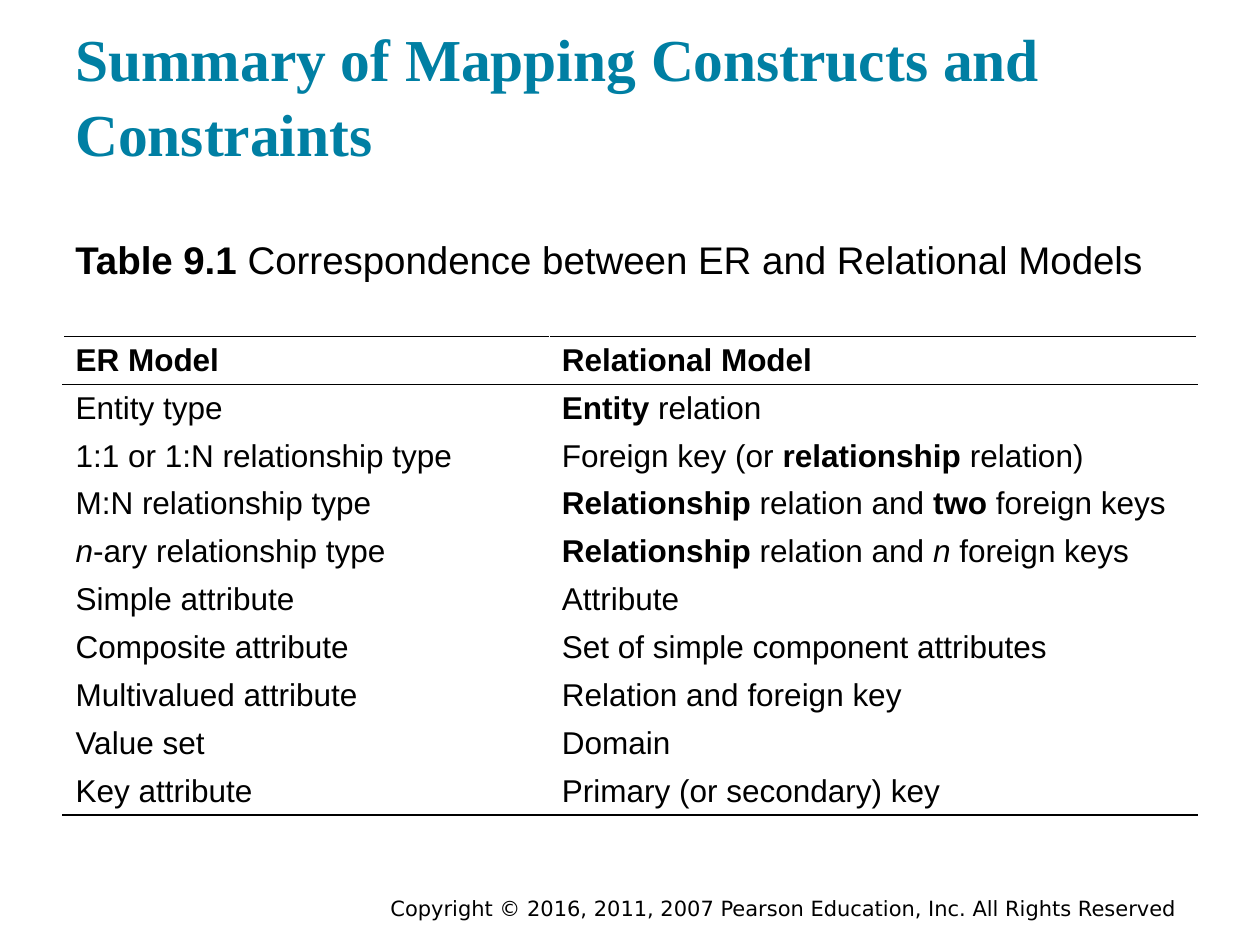
from lxml import etree
from pptx import Presentation
from pptx.dml.color import RGBColor
from pptx.enum.text import MSO_ANCHOR
from pptx.oxml.ns import qn
from pptx.util import Inches, Pt

TOP, MIDDLE, BOTTOM = MSO_ANCHOR.TOP, MSO_ANCHOR.MIDDLE, MSO_ANCHOR.BOTTOM
BLACK, TEAL = "000000", "007FA3"
ROW_HEIGHT = 0.38
COLUMN_WIDTHS = (3.86, 5.14)

# Spans are parted by "|"; a leading "*" makes one bold, "/" italic
ROWS = [
    ("*ER Model", "*Relational Model"),
    ("Entity type", "*Entity| relation"),
    ("1:1 or 1:N relationship type", "Foreign key (or |*relationship| relation)"),
    ("M:N relationship type", "*Relationship| relation and |*two| foreign keys"),
    ("/n|-ary relationship type", "*Relationship| relation and |/n| foreign keys"),
    ("Simple attribute", "Attribute"),
    ("Composite attribute", "Set of simple component attributes"),
    ("Multivalued attribute", "Relation and foreign key"),
    ("Value set", "Domain"),
    ("Key attribute", "Primary (or secondary) key"),
]


def write(frame, text, size, font="Arial", color=BLACK):
    para = frame.paragraphs[0]
    for part in text.split("|"):
        span = para.add_run()
        span.text = part.lstrip("*/")
        span.font.name, span.font.size = font, Pt(size)
        span.font.bold = part.startswith("*")
        span.font.italic = part.startswith("/")
        span.font.color.rgb = RGBColor.from_string(color)


def add_rule(cell, side):
    line = etree.Element(qn("a:" + side), w=str(Pt(1)))
    fill = etree.SubElement(line, qn("a:solidFill"))
    etree.SubElement(fill, qn("a:srgbClr"), val=BLACK)
    cell._tc.get_or_add_tcPr().insert(0, line)


deck = Presentation()
deck.slide_width, deck.slide_height = Inches(10), Inches(7.5)
page = deck.slides.add_slide(deck.slide_layouts[6])

# Title, table caption and copyright line
texts = [
    ((0.5, 0.24, 9, 1.2), BOTTOM, 0.1, 1.05,
     ("*Summary of Mapping Constructs and Constraints", 34, "Times New Roman", TEAL)),
    ((0.5, 1.77, 9, 0.6), TOP, 0.1, 1.0,
     ("*Table 9.1 |Correspondence between ER and Relational Models", 22)),
    ((3, 7.08, 6.65, 0.25), MIDDLE, 0.05, 1.0,
     ("Copyright © 2016, 2011, 2007 Pearson Education, Inc. All Rights Reserved",
      12, "DejaVu Sans")),
]
for place, anchor, inset, spacing, content in texts:
    frame = page.shapes.add_textbox(*map(Inches, place)).text_frame
    frame.word_wrap = True
    frame.vertical_anchor = anchor
    frame.margin_top = frame.margin_bottom = Inches(inset)
    frame.paragraphs[0].line_spacing = spacing
    write(frame, *content)

# Correspondence table
table = page.shapes.add_table(
    len(ROWS), len(COLUMN_WIDTHS), Inches(0.5), Inches(2.67),
    Inches(sum(COLUMN_WIDTHS)), Inches(ROW_HEIGHT * len(ROWS))).table
table.first_row = table.horz_banding = False
for column, width in zip(table.columns, COLUMN_WIDTHS):
    column.width = Inches(width)

for r, texts_in_row in enumerate(ROWS):
    table.rows[r].height = Inches(ROW_HEIGHT)
    for c, text in enumerate(texts_in_row):
        cell = table.cell(r, c)
        cell.fill.background()
        cell.vertical_anchor = MIDDLE
        cell.margin_top = cell.margin_bottom = Inches(0.04)
        write(cell.text_frame, text, 18)
        # Rules around the header and below the last row
        if r in (0, len(ROWS) - 1):
            add_rule(cell, "lnB")
        if r in (0, 1):
            add_rule(cell, "lnT")

deck.save("out.pptx")
